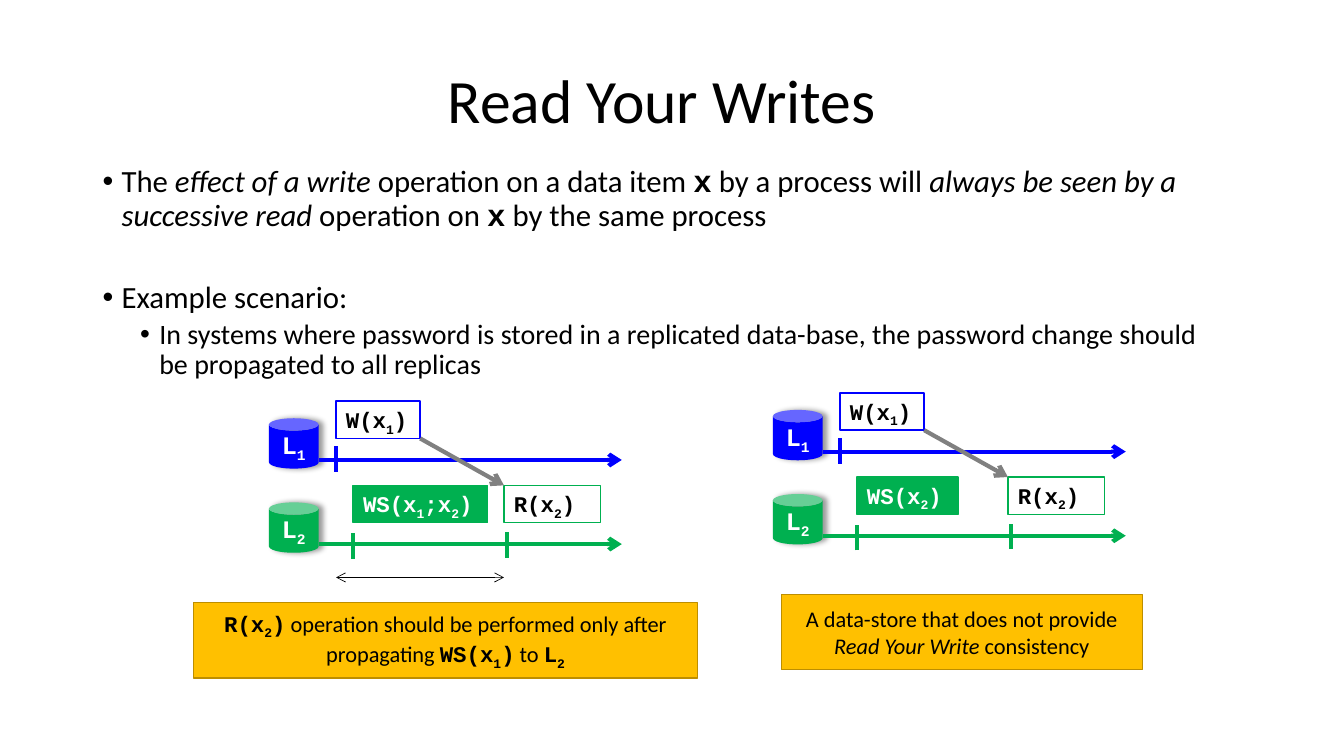
import dataclasses

import lxml.etree
import pptx
import pptx.dml.color
import pptx.enum.shapes
import pptx.enum.text
import pptx.oxml.ns
import pptx.util

Cm = pptx.util.Cm
Pt = pptx.util.Pt
qn = pptx.oxml.ns.qn
Shapes = pptx.enum.shapes.MSO_SHAPE
Anchor = pptx.enum.text.MSO_ANCHOR
Align = pptx.enum.text.PP_ALIGN


@dataclasses.dataclass(frozen=True)
class Theme:
    text_font: str = "Calibri"
    code_font: str = "Courier New"
    black: str = "000000"
    white: str = "FFFFFF"
    blue: str = "0000FF"
    green: str = "00B050"
    gray: str = "808080"
    amber: str = "FFC000"
    amber_edge: str = "BD8E00"
    title_size: int = 44
    body_size: int = 22
    detail_size: int = 20
    store_size: int = 18
    label_size: int = 16


def rgb(value):
    return pptx.dml.color.RGBColor.from_string(value)


class SlideBuilder:
    def __init__(self, page, theme):
        self.page = page
        self.theme = theme

    def fill_para(self, para, spans, size, color):
        all_code = all(kind == "code" for _, kind in spans)
        para.font.name = self.theme.code_font if all_code else self.theme.text_font
        para.font.size = Pt(size)
        para.font.bold = all_code
        para.font.color.rgb = rgb(color)
        for text, kind in spans:
            if kind != "code":
                span = para.add_run()
                span.text = text
                if kind == "italic":
                    span.font.italic = True
                continue
            first, *rest = text.split("_")
            pieces = [(first, False)]
            for part in rest:
                pieces += [(part[0], True), (part[1:], False)]
            for piece, lowered in pieces:
                if not piece:
                    continue
                span = para.add_run()
                span.text = piece
                if not all_code:
                    span.font.name = self.theme.code_font
                    span.font.bold = True
                if lowered:
                    span.font._element.set("baseline", "-25000")

    def place(self, box, left, top, width, height):
        box.left, box.top, box.width, box.height = Cm(left), Cm(top), Cm(width), Cm(height)

    def title(self, text):
        box = self.page.shapes.title
        self.place(box, 2.33, 0.76, 28.7, 3.68)
        box.text_frame.vertical_anchor = Anchor.MIDDLE
        para = box.text_frame.paragraphs[0]
        para.alignment = Align.CENTER
        para.line_spacing = 0.9
        self.fill_para(para, [(text, "plain")], self.theme.title_size, self.theme.black)

    def bullets(self, items):
        box = self.page.placeholders[1]
        self.place(box, 2.33, 4.06, 28.7, 13.97)
        frame = box.text_frame
        frame.auto_size = pptx.enum.text.MSO_AUTO_SIZE.NONE
        for index, (level, before, size, spans) in enumerate(items):
            para = frame.add_paragraph() if index else frame.paragraphs[0]
            para.level = level
            para.line_spacing = 0.9
            para.space_before = Pt(before)
            props = para._p.get_or_add_pPr()
            props.set("marL", str(Cm(0.48 + 0.95 * level)))
            props.set("indent", str(Cm(-0.48)))
            lxml.etree.SubElement(props, qn("a:buFont"), typeface="Arial")
            lxml.etree.SubElement(props, qn("a:buChar"), char="•")
            self.fill_para(para, spans, size, self.theme.black)

    def box(self, kind, bounds, fill, edge, spans, size, color, align, anchor):
        box = self.page.shapes.add_shape(kind, *(Cm(value) for value in bounds))
        box.shadow.inherit = False
        box.fill.solid()
        box.fill.fore_color.rgb = rgb(fill)
        if edge:
            box.line.color.rgb = rgb(edge)
            box.line.width = Pt(1)
        else:
            box.line.fill.background()
        frame = box.text_frame
        frame.word_wrap = True
        frame.vertical_anchor = anchor
        para = frame.paragraphs[0]
        para.alignment = align
        self.fill_para(para, spans, size, color)
        return box

    def store(self, left, top, label, color):
        can = self.box(Shapes.CAN, (left, top, 1.25, 1.27), color, None, [(label, "code")],
                       self.theme.store_size, self.theme.white, Align.CENTER, Anchor.MIDDLE)
        can.text_frame.margin_left = can.text_frame.margin_right = 0
        effects = can._element.spPr.find(qn("a:effectLst"))
        shadow = lxml.etree.SubElement(effects, qn("a:outerShdw"), blurRad=str(Pt(4)),
                                       dist=str(Pt(3)), dir="0", rotWithShape="0")
        tint = lxml.etree.SubElement(shadow, qn("a:srgbClr"), val=self.theme.black)
        lxml.etree.SubElement(tint, qn("a:alpha"), val="40000")

    def operation(self, left, top, width, label, edge, filled=False):
        fill, color = (edge, self.theme.white) if filled else (self.theme.white, self.theme.black)
        self.box(Shapes.RECTANGLE, (left, top, width, 0.94), fill, edge, [(label, "code")],
                 self.theme.label_size, color, Align.LEFT, Anchor.TOP)

    def note(self, left, top, width, spans):
        self.box(Shapes.RECTANGLE, (left, top, width, 1.9), self.theme.amber,
                 self.theme.amber_edge, spans, self.theme.label_size, self.theme.black,
                 Align.CENTER, Anchor.MIDDLE)

    def line(self, start, end, color, width=3, arrows=()):
        line = self.page.shapes.add_connector(
            pptx.enum.shapes.MSO_CONNECTOR.STRAIGHT, *(Cm(value) for value in start + end))
        line.line.color.rgb = rgb(color)
        line.line.width = Pt(width)
        props = line._element.spPr
        for arrow in arrows:
            lxml.etree.SubElement(props.find(qn("a:ln")), qn("a:" + arrow), type="arrow")
        lxml.etree.SubElement(props, qn("a:effectLst"))

    def scenario(self, left, top, write_set, write_set_width, note_shift, note_width, note,
                 show_interval):
        theme = self.theme
        lane_gap = 2.12
        write_left, set_left, read_left = left + 1.69, left + 2.12, left + 5.92
        for lane, color in enumerate((theme.blue, theme.green)):
            lane_top = top + lane * lane_gap
            axis = lane_top + 1.48
            self.store(left, lane_top + 0.43, f"L_{lane + 1}", color)
            self.line((left + 1.27, axis), (left + 8.89, axis), color, arrows=["tailEnd"])
        self.operation(set_left, top + lane_gap, write_set_width, write_set, theme.green, True)
        self.operation(read_left, top + lane_gap, 2.44, "R(x_2)", theme.green)
        self.operation(write_left, top, 2.12, "W(x_1)", theme.blue)
        ticks = [(write_left, 1.14, theme.blue), (set_left, 3.33, theme.green),
                 (left + 6, 3.3, theme.green)]
        for tick_left, tick_top, color in ticks:
            self.line((tick_left, top + tick_top + 0.64), (tick_left, top + tick_top), color)
        if show_interval:
            self.line((write_left, top + 4.44), (read_left, top + 4.44), theme.black, 0.5,
                      ["headEnd", "tailEnd"])
        self.note(left + note_shift, top + 5.08, note_width, note)
        self.line((write_left + 2.12, top + 0.94), (read_left, top + lane_gap), theme.gray,
                  arrows=["tailEnd"])


def main():
    deck = pptx.Presentation()
    deck.slide_width, deck.slide_height = Cm(33.87), Cm(19.05)
    page = deck.slides.add_slide(deck.slide_layouts[1])
    theme = Theme()
    builder = SlideBuilder(page, theme)
    builder.title("Read Your Writes")
    builder.bullets([
        (0, 0, theme.body_size, [
            ("The ", "plain"), ("effect of a write ", "italic"),
            ("operation on a data item ", "plain"), ("x", "code"),
            (" by a process will ", "plain"),
            ("always be seen by a successive read", "italic"),
            (" operation on ", "plain"), ("x", "code"), (" by the same process", "plain")]),
        (0, 35, theme.body_size, [("Example scenario:", "plain")]),
        (1, 3.8, theme.detail_size, [
            ("In systems where password is stored in a replicated data-base, "
             "the password change should be propagated to all replicas", "plain")]),
    ])
    builder.scenario(6.78, 10.11, "WS(x_1;x_2)", 3.39, -1.9, 12.7, [
        ("R(x_2)", "code"), (" operation should be performed only after propagating ", "plain"),
        ("WS(x_1)", "code"), (" to ", "plain"), ("L_2", "code")], True)
    builder.scenario(19.48, 9.9, "WS(x_2)", 2.54, 0.21, 9.1, [
        ("A data-store that does not provide ", "plain"), ("Read Your Write", "italic"),
        (" consistency", "plain")], False)
    deck.save("out.pptx")


if __name__ == "__main__":
    main()
